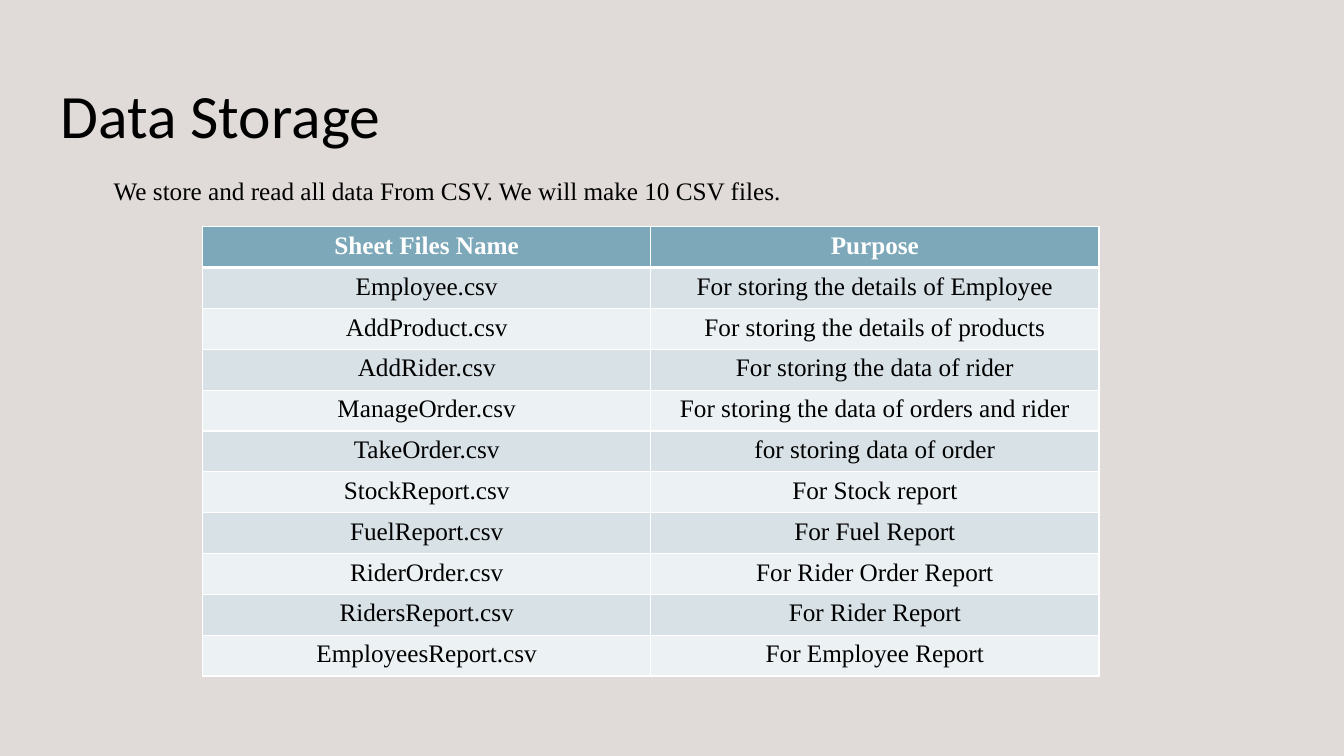
from lxml import etree
from pptx import Presentation
from pptx.dml.color import RGBColor
from pptx.enum import shapes, text
from pptx.oxml.ns import qn
from pptx.util import Inches, Pt

WIDE, HIGH = 13.33, 7.5
SERIF = "Times New Roman"
ROWS = [
    ("Sheet Files Name", "Purpose"),
    ("Employee.csv", "For storing the details of Employee"),
    ("AddProduct.csv", "For storing the details of products"),
    ("AddRider.csv", "For storing the data of rider"),
    ("ManageOrder.csv", "For storing the data of orders and rider"),
    ("TakeOrder.csv", "for storing data of order"),
    ("StockReport.csv", "For Stock report"),
    ("FuelReport.csv", "For Fuel Report"),
    ("RiderOrder.csv", "For Rider Order Report"),
    ("RidersReport.csv", "For Rider Report"),
    ("EmployeesReport.csv", "For Employee Report"),
]


def paint(target, color):
    target.solid()
    target.fore_color.rgb = RGBColor.from_string(color)


def write(frame, words, font=SERIF, size=18, color="000000", bold=False,
          align=text.PP_ALIGN.LEFT, anchor=None):
    frame.word_wrap = True
    if anchor is not None:
        frame.vertical_anchor = anchor
    para = frame.paragraphs[0]
    para.alignment = align
    run = para.add_run()
    run.text = words
    run.font.name = font
    run.font.size = Pt(size)
    run.font.bold = bold
    run.font.color.rgb = RGBColor.from_string(color)


def edge(cell, base):
    # Borders come before the fill in the cell properties
    props = cell._tc.get_or_add_tcPr()
    widths = {"a:lnL": 1, "a:lnR": 1, "a:lnT": 1, "a:lnB": base}
    for spot, (tag, width) in enumerate(widths.items()):
        line = etree.Element(qn(tag), w=str(Pt(width)))
        fill = etree.SubElement(line, qn("a:solidFill"))
        etree.SubElement(fill, qn("a:srgbClr"), val="FFFFFF")
        props.insert(spot, line)


def backdrop(slide, box):
    rect = slide.shapes.add_shape(shapes.MSO_SHAPE.RECTANGLE, *map(Inches, box))
    rect.shadow.inherit = False
    rect.line.fill.background()
    paint(rect.fill, "D4CCC8")
    tint = rect._element.spPr.find(".//" + qn("a:srgbClr"))
    etree.SubElement(tint, qn("a:alpha"), val="70000")


def label(slide, box, words, **style):
    shape = slide.shapes.add_textbox(*map(Inches, box))
    write(shape.text_frame, words, **style)


def files(slide, box):
    left, top, width, height = map(Inches, box)
    count = len(ROWS)
    table = slide.shapes.add_table(count, 2, left, top, width, height).table
    for col in table.columns:
        col.width = width // 2
    for row, pair in enumerate(ROWS):
        head = row == 0
        table.rows[row].height = height // count
        shade = "7DA8B9" if head else ("ECF1F3", "D7E1E6")[row % 2]
        for col, words in enumerate(pair):
            cell = table.cell(row, col)
            paint(cell.fill, shade)
            edge(cell, 3 if head else 1)
            write(cell.text_frame, words, bold=head,
                  color="FFFFFF" if head else "000000",
                  align=text.PP_ALIGN.CENTER)


def main():
    deck = Presentation()
    deck.slide_width, deck.slide_height = Inches(WIDE), Inches(HIGH)
    slide = deck.slides.add_slide(deck.slide_layouts[6])
    backdrop(slide, (0, 0, WIDE, HIGH))
    # Heading
    label(slide, (0.5, 0.4, 11.92, 1.45), "Data Storage", font="Calibri",
          size=44, anchor=text.MSO_ANCHOR.MIDDLE)
    # File list and its lead-in
    files(slide, (2.01, 2.25, 8.89, 4.46))
    label(slide, (1.03, 1.69, 8.43, 0.71),
          "We store and read all data From CSV. We will make 10 CSV files.")
    deck.save("out.pptx")


if __name__ == "__main__":
    main()
